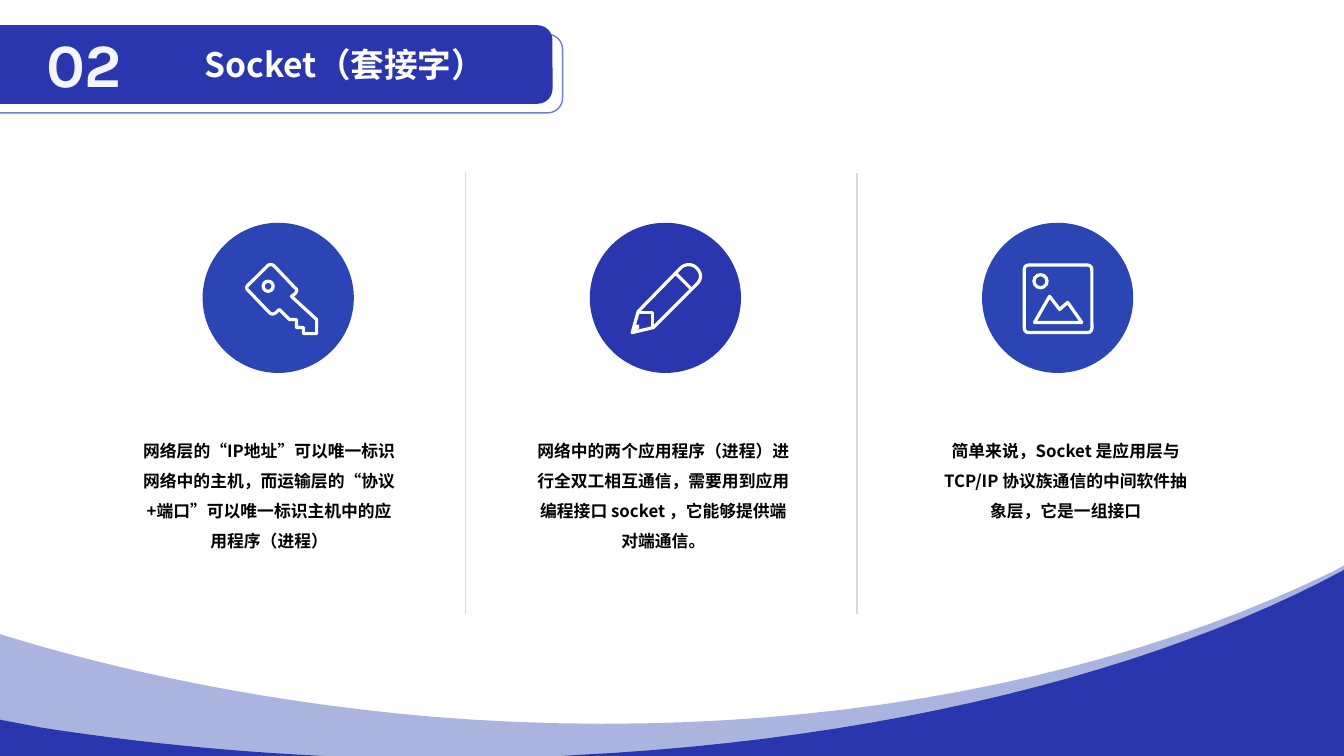
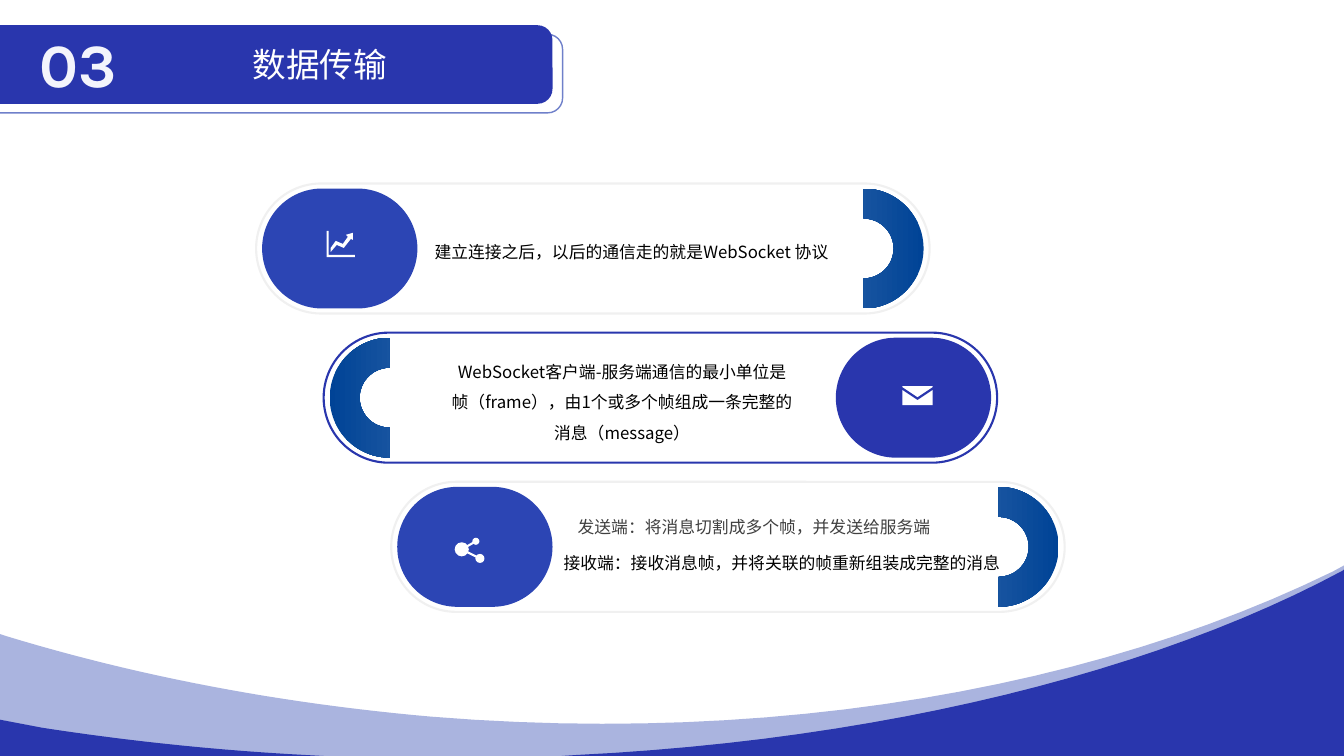
from dataclasses import dataclass

from lxml.etree import SubElement
from pptx import Presentation
from pptx.dml.color import RGBColor
from pptx.enum.shapes import MSO_CONNECTOR, MSO_SHAPE as SHAPE
from pptx.enum.text import MSO_ANCHOR, MSO_AUTO_SIZE, PP_ALIGN as ALIGN
from pptx.oxml.ns import qn
from pptx.util import Emu, Pt

PX = 9144  # 100 px to the inch


@dataclass(frozen=True)
class Theme:
    navy: str = "2936AD"
    blue: str = "2C45B4"
    pale: str = "AAB4DF"
    outline: str = "6F80CA"
    number: str = "F3F4FC"
    white: str = "FFFFFF"
    black: str = "000000"
    gray: str = "404040"
    rule: str = "D9D9D9"
    pill: str = "F0F0F0"
    arc_dark: str = "004396"
    arc_light: str = "2E65A9"
    cjk: str = "Noto Sans CJK SC"
    latin: str = "Karla"
    number_pt: int = 44
    title_pt: int = 24
    body_pt: int = 12
    icon_pt: float = 2.3


T = Theme()

# A contour is a list of points; six numbers make a Bézier curve from the point before.
LIGHT_WAVE = [[(1333, 561), (1333, 750), (0, 750), (0, 629), (6, 631),
               (137, 671, 279, 698, 428, 711), (771, 739, 1087, 682, 1322, 567)]]
DARK_WAVE = [
    [(0, 714), (42, 722), (120, 734, 201, 743, 285, 748), (321, 750), (0, 750)],
    [(1333, 565), (1333, 750), (557, 750), (572, 749), (877, 734, 1146, 666, 1332, 566)],
]

KEY = [[(314, 331), (301, 331), (301, 325), (294, 325), (294, 317), (287, 317),
        (277, 307), (274, 310), (271, 312, 269, 312, 267, 310), (247, 289),
        (244, 287, 244, 284, 247, 282), (265, 264), (267, 262, 270, 262, 272, 264),
        (292, 285), (295, 287, 295, 289, 292, 292), (289, 294), (314, 317)]]
PENCIL = [[(627, 330), (633, 309), (675, 266), (679, 262, 686, 261, 691, 266),
           (696, 271, 696, 277, 691, 282), (648, 325)]]
PENCIL_SEAMS = [[(671, 272), (685, 286)], [(633, 310), (647, 310), (647, 325)]]
PENCIL_TIP = [[(627, 330), (630, 322), (634, 322), (634, 326)]]
MOUNTAINS = [[(1026, 320), (1041, 294), (1051, 307), (1059, 300), (1073, 320)]]
CHART = [
    [(324, 229), (326, 229), (326, 253), (352, 253), (352, 255), (324, 255)],
    [(328, 246), (333, 239), (340, 242), (345, 235), (343, 233), (350, 231),
     (350, 238), (348, 237), (341, 246), (334, 243), (328, 250)],
]
ENVELOPE = [
    [(895, 387), (910, 397), (925, 387), (925, 402), (895, 402)],
    [(895, 383), (925, 383), (925, 384), (910, 394), (895, 384)],
]
SHARE_DOTS = [(458, 545, 14), (472, 537, 7), (476, 554, 9)]  # centre x, y, diameter

DIVIDERS = [462, 850]
COLUMNS = [  # circle left, circle colour, text left, text
    (201, T.blue, 129, "网络层的“IP地址”可以唯一标识网络中的主机，而运输层的“协议+端口”可以唯一标识主机中的应用程序（进程）"),
    (585, T.navy, 520, "网络中的两个应用程序（进程）进行全双工相互通信，需要用到应用编程接口 socket ，它能够提供端对端通信。"),
    (974, T.blue, 919, "简单来说，Socket 是应用层与 TCP/IP 协议族通信的中间软件抽象层，它是一组接口"),
]

PILLS = [  # outline, cap colour, cap on the right
    (T.pill, T.blue, False),
    (T.navy, T.navy, True),
    (T.pill, T.blue, False),
]
PILL_TEXTS = [  # box, text, text style
    ((431, 229, 404, 31), "建立连接之后，以后的通信走的就是WebSocket 协议", dict(leading=Pt(22))),
    ((446, 348, 342, 92),
     "WebSocket客户端-服务端通信的最小单位是帧（frame），由1个或多个帧组成一条完整的消息（message）",
     dict(leading=Pt(22), align=ALIGN.CENTER)),
    ((573, 502, 363, 31), "发送端：将消息切割成多个帧，并发送给服务端",
     dict(leading=Pt(22), color=T.gray, font=T.latin)),
    ((559, 548, 453, 20), "接收端：接收消息帧，并将关联的帧重新组装成完整的消息", {}),
]


def px(*values):
    return [Emu(v * PX) for v in values]


def rgb(color):
    return RGBColor.from_string(color)


def paint(sp, fill=None, line=None, weight=1.0):
    sp.shadow.inherit = False
    if fill:
        sp.fill.solid()
        sp.fill.fore_color.rgb = rgb(fill)
    else:
        sp.fill.background()
    if line:
        sp.line.color.rgb = rgb(line)
        sp.line.width = Pt(weight)
    else:
        sp.line.fill.background()
    return sp


def shape(s, kind, box, adj=None, **look):
    sp = s.shapes.add_shape(kind, *px(*box))
    if adj is not None:
        sp.adjustments[0] = adj
    return paint(sp, **look)


def dot(s, cx, cy, d, **look):
    return shape(s, SHAPE.OVAL, (cx - d / 2, cy - d / 2, d, d), **look)


def flatten(contour, steps=24):
    """Turn a contour's curves into short straight steps, in EMU."""
    points = []
    for item in contour:
        if len(item) == 2:
            points.append(item)
            continue
        (x0, y0), (x1, y1, x2, y2, x3, y3) = points[-1], item
        for i in range(1, steps + 1):
            t = i / steps
            u = 1 - t
            a, b, c, d = u ** 3, 3 * u * u * t, 3 * u * t * t, t ** 3
            points.append((a * x0 + b * x1 + c * x2 + d * x3,
                           a * y0 + b * y1 + c * y2 + d * y3))
    return [(x * PX, y * PX) for x, y in points]


def outline(s, contours, close=True, **look):
    builder = None
    for contour in contours:
        start, *rest = flatten(contour)
        if builder is None:
            builder = s.shapes.build_freeform(*start, scale=1.0)
        else:
            builder.move_to(*start)
        builder.add_line_segments(rest, close=close)
    return paint(builder.convert_to_shape(), **look)


def line(s, x1, y1, x2, y2, color, weight):
    c = s.shapes.add_connector(MSO_CONNECTOR.STRAIGHT, *px(x1, y1, x2, y2))
    c.line.color.rgb = rgb(color)
    c.line.width = Pt(weight)
    SubElement(c._element.spPr, qn("a:effectLst"))


def write(tf, text, size=T.body_pt, color=T.black, font=T.cjk, bold=False,
          align=ALIGN.LEFT, leading=None, before=None):
    tf.text = text
    p = tf.paragraphs[0]
    p.alignment = align
    p.line_spacing = leading
    p.space_before = before
    f = p.runs[0].font
    f.size, f.bold, f.name = Pt(size), bold, font
    f.color.rgb = rgb(color)
    SubElement(f._element, qn("a:ea")).set("typeface", T.cjk)


def text_box(s, box, text, inset=True, wrap=True, **style):
    tf = s.shapes.add_textbox(*px(*box)).text_frame
    tf.word_wrap = wrap
    if not inset:
        tf.margin_left = tf.margin_right = tf.margin_top = tf.margin_bottom = 0
    write(tf, text, **style)
    return tf


def base_slide(prs, number, title, title_indent, title_bold, number_align):
    """Add a slide with the waves and the numbered title banner."""
    s = prs.slides.add_slide(prs.slide_layouts[6])
    outline(s, LIGHT_WAVE, fill=T.pale)
    outline(s, DARK_WAVE, fill=T.navy)
    shape(s, SHAPE.ROUNDED_RECTANGLE, (-54, 34, 612, 78), 0.19, line=T.outline)
    banner = shape(s, SHAPE.ROUNDED_RECTANGLE, (-64, 25, 612, 78), 0.19, fill=T.navy)
    tf = banner.text_frame
    tf.vertical_anchor = MSO_ANCHOR.MIDDLE
    tf.margin_left = Emu(title_indent * PX)
    write(tf, title, T.title_pt, T.white, bold=title_bold, align=ALIGN.CENTER)
    tf = text_box(s, (29, 21, 109, 84), number, wrap=False, size=T.number_pt,
                  color=T.number, font=T.latin, bold=True, align=number_align)
    tf.auto_size = MSO_AUTO_SIZE.SHAPE_TO_FIT_TEXT
    return s


def socket_slide(prs):
    s = base_slide(prs, "02", "Socket（套接字）", 210, True, ALIGN.CENTER)
    for x in DIVIDERS:
        line(s, x, 172, x, 609, T.rule, 1)
    for left, color, text_left, text in COLUMNS:
        shape(s, SHAPE.OVAL, (left, 221, 150, 149), fill=color)
        text_box(s, (text_left, 422, 276, 122), text, bold=True,
                 align=ALIGN.CENTER, leading=1.5, before=Pt(10))
    stroke = dict(line=T.white, weight=T.icon_pt)
    outline(s, KEY, **stroke)
    dot(s, 266, 284, 10, **stroke)
    outline(s, PENCIL, **stroke)
    outline(s, PENCIL_SEAMS, close=False, **stroke)
    outline(s, PENCIL_TIP, fill=T.white)
    shape(s, SHAPE.ROUNDED_RECTANGLE, (1016, 263, 67, 67), 0.06, **stroke)
    dot(s, 1032, 279, 13, **stroke)
    outline(s, MOUNTAINS, **stroke)


def pill(s, x, y, border, cap_color, cap_right):
    """Draw a pill with a solid cap at one end and a half ring at the other."""
    width, height, inset, cap, ring = 668, 129, 6, 154, 119
    shape(s, SHAPE.ROUNDED_RECTANGLE, (x, y, width, height), 0.5, line=border, weight=1.5)
    near, far = x + inset, x + width - inset
    cap_x, ring_x = (far - cap, near) if cap_right else (near, far - ring)
    top = y + (height - ring) / 2
    shape(s, SHAPE.ROUNDED_RECTANGLE, (cap_x, top, cap, ring), 0.5, fill=cap_color)
    arc = shape(s, SHAPE.BLOCK_ARC, (ring_x, top, ring, ring))
    arc.rotation = 270 if cap_right else 90
    arc.fill.gradient()
    arc.fill.gradient_angle = 270
    for stop, color in zip(arc.fill.gradient_stops, (T.arc_dark, T.arc_light)):
        stop.color.rgb = rgb(color)


def transfer_slide(prs):
    s = base_slide(prs, "03", "数据传输", 160, False, ALIGN.LEFT)
    for i, look in enumerate(PILLS):
        pill(s, 254 + 67 * i, 182 + 148 * i, *look)
    outline(s, CHART, fill=T.white)
    outline(s, ENVELOPE, fill=T.white)
    hub_x, hub_y, _ = SHARE_DOTS[0]
    for cx, cy, d in SHARE_DOTS:
        dot(s, cx, cy, d, fill=T.white)
        if (cx, cy) != (hub_x, hub_y):
            line(s, hub_x, hub_y, cx, cy, T.white, 1.5)
    for box, text, style in PILL_TEXTS:
        text_box(s, box, text, inset=False, **style)


def main():
    prs = Presentation()
    prs.slide_width, prs.slide_height = px(1333, 750)
    socket_slide(prs)
    transfer_slide(prs)
    prs.save("out.pptx")


if __name__ == "__main__":
    main()
